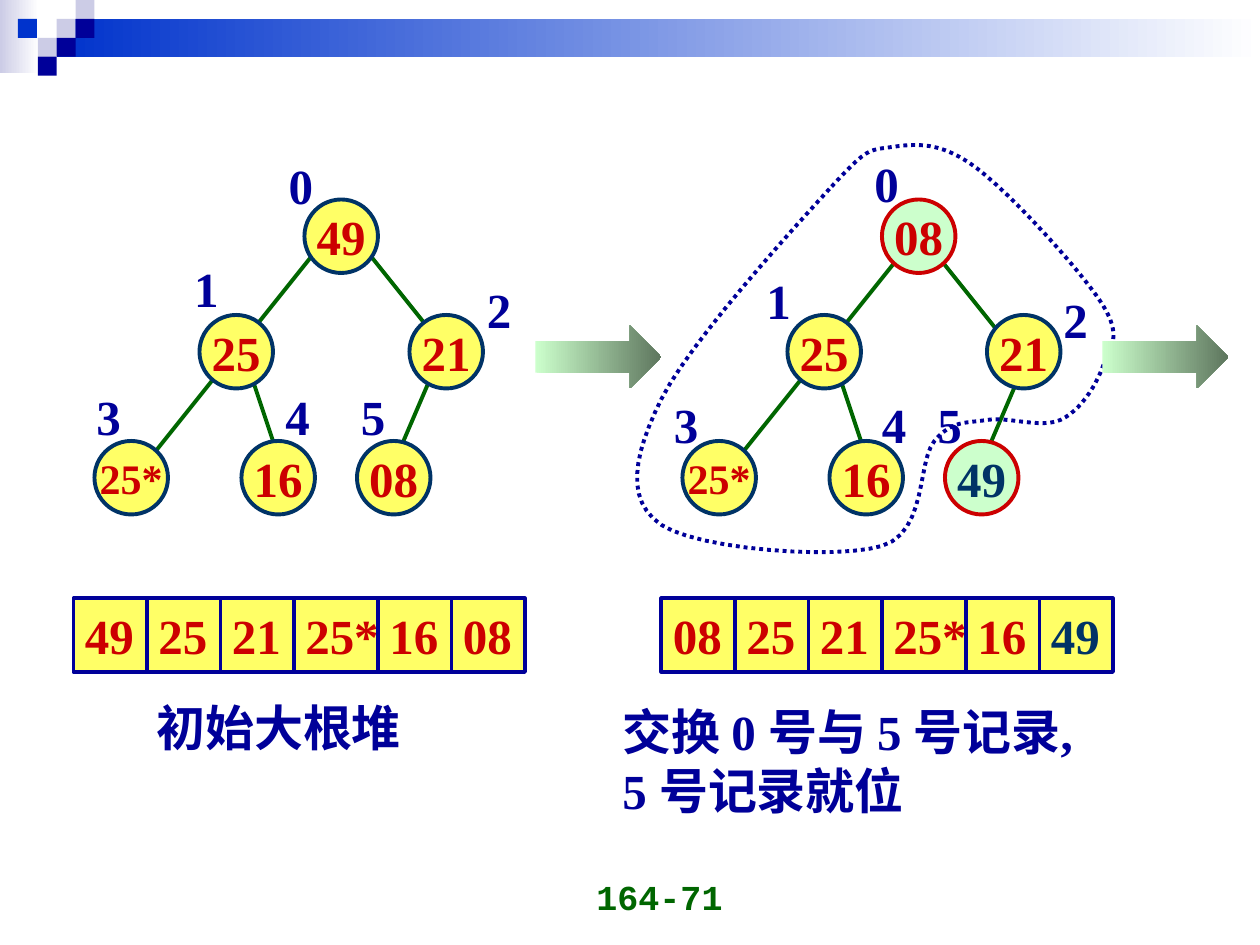
from dataclasses import dataclass

from lxml import etree
from pptx import Presentation
from pptx.dml.color import RGBColor
from pptx.enum.dml import MSO_LINE
from pptx.enum.shapes import MSO_CONNECTOR, MSO_SHAPE
from pptx.enum.text import MSO_ANCHOR, PP_ALIGN
from pptx.oxml.ns import qn
from pptx.util import Emu, Inches, Pt

RECT, OVAL, ARROW = MSO_SHAPE.RECTANGLE, MSO_SHAPE.OVAL, MSO_SHAPE.RIGHT_ARROW
STRAIGHT, DOTTED = MSO_CONNECTOR.STRAIGHT, MSO_LINE.ROUND_DOT
LEFT, CENTER, RIGHT = PP_ALIGN.LEFT, PP_ALIGN.CENTER, PP_ALIGN.RIGHT
TOP, MIDDLE, BOTTOM = MSO_ANCHOR.TOP, MSO_ANCHOR.MIDDLE, MSO_ANCHOR.BOTTOM

COLORS = {
    "navy": "000099", "blue": "0033CC", "lavender": "CCCCE6", "white": "FFFFFF",
    "yellow": "FFFF66", "mint": "CCFFCC", "moss": "5E765E", "green": "006600",
    "red": "CC0000", "teal": "003366",
}
SERIF, MONO = "Times New Roman", "Courier New"

# The slide is a grid of 120 columns by 90 rows; nodes and cells are 7 units
UNIT = Inches(10) / 120
CELL = 7
BAR_LEFT, BAR_TOP, BAR_WIDTH = 7, 57, 43
DIVIDERS = (14, 21, 28, 36, 43)
TILE = 0.15 * 12  # header squares


@dataclass
class Node:
    text: str
    col: float
    row: float
    label_col: float
    label_row: float
    fill: str = "yellow"
    line: str = "teal"
    color: str = "red"


@dataclass
class Heap:
    left: float
    nodes: list[Node]  # in heap order, so the index is the label
    edges: list[tuple[float, float, float, float]]
    values: list[str]
    last_color: str
    caption: tuple[float, float, float, float]
    caption_lines: list[str]


EDGES = [(41, 36, 38, 43), (24, 36, 26, 42), (30, 24, 14, 44)]
HEAPS = [
    Heap(0, [Node("49", 29, 19, 26.3, 14.2), Node("25", 19, 30, 17.3, 24),
             Node("21", 39, 30, 45.2, 26), Node("25*", 9, 42, 8, 36.2),
             Node("16", 23, 42, 26, 36.2), Node("08", 34, 42, 33.2, 36.2)],
         EDGES + [(35, 24, 43, 34)],
         ["49", "25", "21", "25*", "16", "08"], "red",
         (13.7, 65.8, 28, 6.8), ["初始大根堆"]),
    Heap(56, [Node("08", 28, 19, 26.1, 14, "mint", "red"), Node("25", 19, 30, 15.8, 25.2),
              Node("21", 38, 30, 44.1, 27), Node("25*", 9, 42, 7, 37),
              Node("16", 23, 42, 26.8, 37), Node("49", 34, 42, 32.1, 37, "mint", "red", "teal")],
         EDGES + [(33, 24, 41, 34)],
         ["08", "25", "21", "25*", "16", "49"], "teal",
         (2.1, 66.2, 53.4, 12.5), ["交换 0 号与 5 号记录,", "5 号记录就位"]),
]
# Closed outline around the records still in the heap
OUTLINE = [(79, 18), (63, 38), (63, 50), (84, 52), (89, 42), (94, 40),
           (101, 40), (105, 35), (105, 29), (93, 16), (85, 14)]


def units(*values: float) -> list[Emu]:
    return [Emu(round(value * UNIT)) for value in values]


def rgb(name: str) -> RGBColor:
    return RGBColor.from_string(COLORS[name])


def add_block(page, kind, area, fills, line=None):
    """Draw a preset shape with one fill colour, or two for a gradient."""
    block = page.shapes.add_shape(kind, *units(*area))
    block.shadow.inherit = False
    if len(fills) == 1:
        block.fill.solid()
        block.fill.fore_color.rgb = rgb(fills[0])
    else:
        block.fill.gradient()
        block.fill.gradient_angle = 0
        for stop, name in zip(block.fill.gradient_stops, fills):
            stop.color.rgb = rgb(name)
    if line:
        block.line.color.rgb = rgb(line)
        block.line.width = Pt(2.25)
    else:
        block.line.fill.background()
    return block


def write(box, lines: list[str], color: str, size: float = 28, align=CENTER,
          anchor=MIDDLE, wrap: bool = False, font: str = SERIF) -> None:
    frame = box.text_frame
    frame.word_wrap = wrap
    frame.vertical_anchor = anchor
    frame.text = "\n".join(lines)
    for para in frame.paragraphs:
        para.alignment = align
        para.font.name, para.font.size, para.font.bold = font, Pt(size), True
        para.font.color.rgb = rgb(color)


def add_label(page, area, lines: list[str], color: str = "navy", **style) -> None:
    box = page.shapes.add_textbox(*units(*area))
    write(box, lines, color, **{"align": LEFT, "anchor": TOP, **style})


def add_line(page, ends, color: str) -> None:
    line = page.shapes.add_connector(STRAIGHT, *units(*ends))
    line.line.color.rgb = rgb(color)
    line.line.width = Pt(2.25)
    etree.SubElement(line._element.spPr, qn("a:effectLst"))


def add_bar(page, heap: Heap) -> None:
    """Draw the array: one bar, values on tab stops, a divider between cells."""
    left = heap.left + BAR_LEFT
    bar = add_block(page, RECT, (left, BAR_TOP, BAR_WIDTH, CELL), ["yellow"], "navy")
    write(bar, [""], "red", align=LEFT, wrap=True)
    bar.text_frame.margin_left, bar.text_frame.margin_right = Inches(0.09), 0
    para = bar.text_frame.paragraphs[0]
    tabs = etree.Element(qn("a:tabLst"))
    for divider in DIVIDERS:
        stop = units(divider - BAR_LEFT)[0]
        etree.SubElement(tabs, qn("a:tab"), pos=str(stop), algn="l")
    para._p.get_or_add_pPr().insert(0, tabs)
    para.add_run().text = "\t".join(heap.values[:-1]) + "\t"
    last = para.add_run()
    last.text = heap.values[-1]
    last.font.color.rgb = rgb(heap.last_color)
    for divider in DIVIDERS:
        col = heap.left + divider
        add_line(page, (col, BAR_TOP, col, BAR_TOP + CELL), "navy")


def add_heap(page, heap: Heap) -> None:
    for x1, y1, x2, y2 in heap.edges:
        add_line(page, (heap.left + x1, y1, heap.left + x2, y2), "green")
    for node in heap.nodes:
        area = (heap.left + node.col, node.row, CELL, CELL)
        circle = add_block(page, OVAL, area, [node.fill], node.line)
        write(circle, [node.text], node.color, 24 if len(node.text) > 2 else 28)
    for index, node in enumerate(heap.nodes):
        add_label(page, (heap.left + node.label_col, node.label_row, 4.7, 6.8), [str(index)])
    add_bar(page, heap)
    col, *rest = heap.caption
    add_label(page, (heap.left + col, *rest), heap.caption_lines)


def smooth(knots, steps: int = 12) -> list[tuple[float, float]]:
    """Points of the closed Catmull-Rom curve through the knots."""
    points = []
    for i in range(len(knots)):
        around = [knots[(i + shift) % len(knots)] for shift in (-1, 0, 1, 2)]
        for step in range(steps):
            t = step / steps
            points.append(tuple(
                b + t * (c - a) / 2 + t**2 * (2 * a - 5 * b + 4 * c - d) / 2
                + t**3 * (3 * b - a - 3 * c + d) / 2
                for a, b, c, d in zip(*around)))
    return points


def add_outline(page) -> None:
    points = [units(*point) for point in smooth(OUTLINE)]
    builder = page.shapes.build_freeform(*points[0])
    builder.add_line_segments(points[1:], close=True)
    outline = builder.convert_to_shape()
    outline.shadow.inherit = False
    outline.fill.background()
    outline.line.color.rgb = rgb("navy")
    outline.line.width = Pt(2.25)
    outline.line.dash_style = DOTTED


def add_header(page) -> None:
    add_block(page, RECT, (0, 0, 3.7, 7), ["lavender", "white"])
    add_block(page, RECT, (3 * TILE, TILE, 120 - 3 * TILE, 2 * TILE), ["blue", "white"])
    tiles = [(3, 1, "lavender"), (4, 0, "lavender"), (4, 1, "navy"), (2, 2, "lavender"),
             (0.95, 1, "blue"), (3, 2, "navy"), (2, 3, "navy")]
    for col, row, color in tiles:
        add_block(page, RECT, (col * TILE, row * TILE, TILE, TILE), [color])


def main() -> None:
    deck = Presentation()
    deck.slide_width, deck.slide_height = Inches(10), Inches(7.5)
    page = deck.slides.add_slide(deck.slide_layouts[6])
    add_header(page)
    # Page number
    add_label(page, (42, 82, 28, 6), ["164-71"], "green", size=20, align=RIGHT,
              anchor=BOTTOM, wrap=True, font=MONO)
    # The two heaps, the outline and the step arrows
    for heap in HEAPS:
        add_heap(page, heap)
    add_outline(page)
    for col in (51, 105):
        add_block(page, ARROW, (col, 31, 12, 6), ["mint", "moss"])
    deck.save("out.pptx")


if __name__ == "__main__":
    main()
